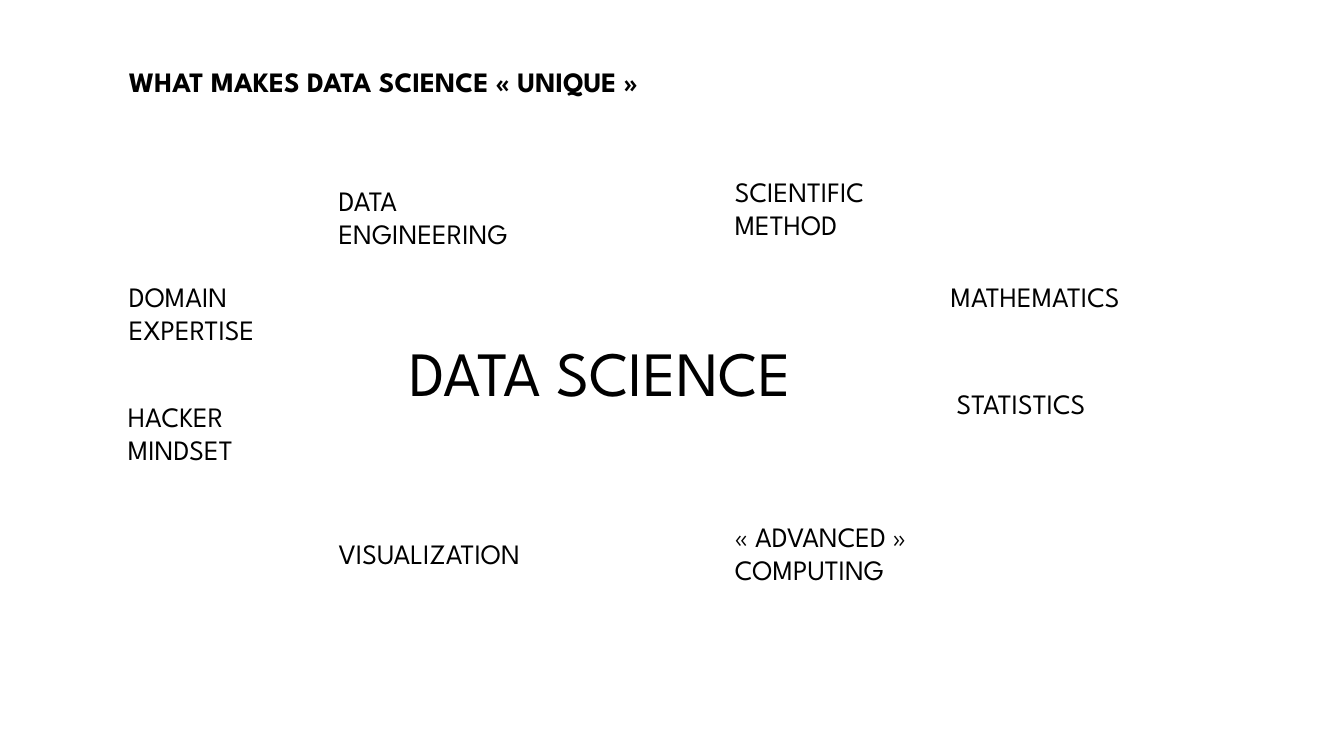
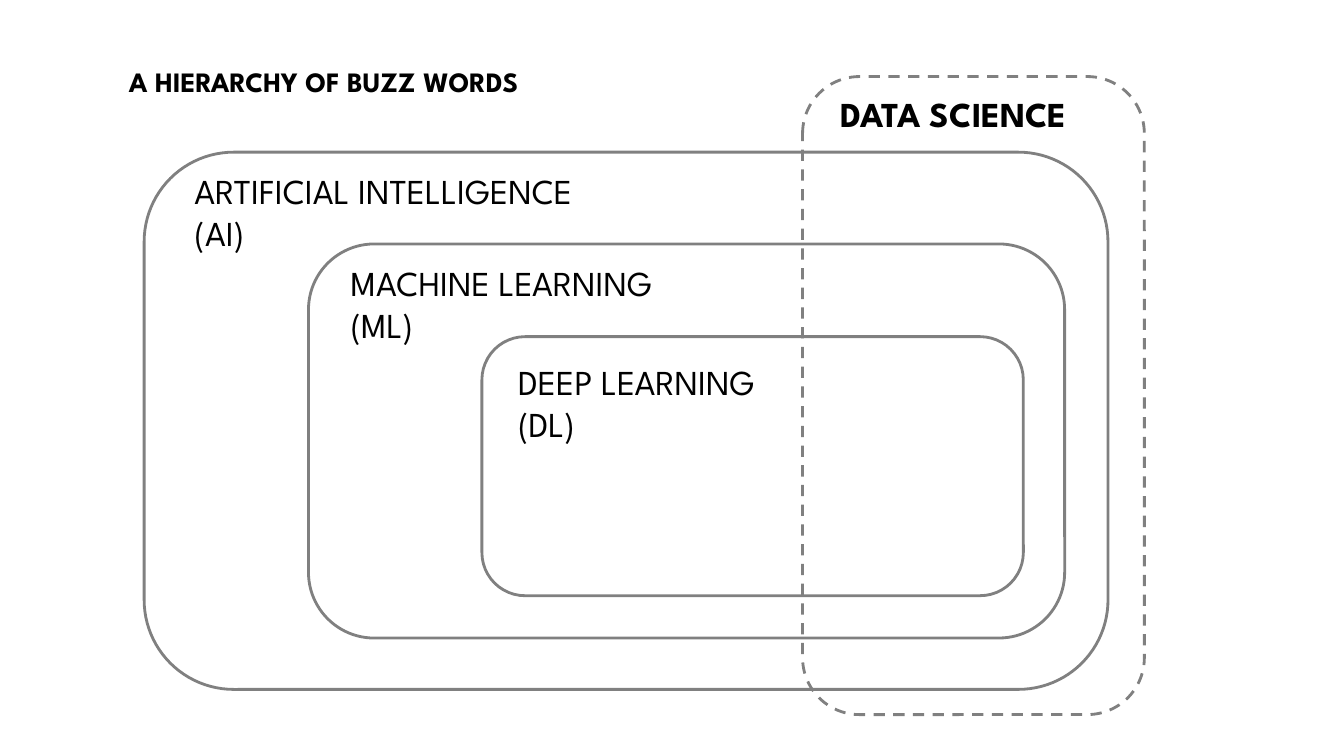
from dataclasses import dataclass

from pptx import Presentation
from pptx.dml.color import RGBColor
from pptx.enum.dml import MSO_LINE
from pptx.enum.shapes import MSO_SHAPE
from pptx.enum.text import MSO_ANCHOR, PP_ALIGN
from pptx.util import Emu, Pt

RECTANGLE = MSO_SHAPE.RECTANGLE
ROUNDED = MSO_SHAPE.ROUNDED_RECTANGLE
DASHED = MSO_LINE.DASH
TOP = MSO_ANCHOR.TOP
LEFT = PP_ALIGN.LEFT
PX = 9144


@dataclass(frozen=True)
class Theme:
    font: str = "League Spartan"
    ink: RGBColor = RGBColor(0, 0, 0)
    paper: RGBColor = RGBColor(255, 255, 255)
    outline: RGBColor = RGBColor(128, 128, 128)
    outline_width: int = 2
    body: int = 20
    ring: int = 25
    hero: int = 45
    inset_x: int = 10
    inset_y: int = 5
    line_height: float = 1.68


THEME = Theme()
SLIDE_SIZE = (1333, 750)
TITLE_BOX = (118, 59, 638)
SKILLS_BOX = (117, 168)
RINGS_BOX = (143, 76)

SKILLS = [
    ("DATA SCIENCE", 279, 158, 471, THEME.hero),
    ("DATA\nENGINEERING", 209, 9, 220, THEME.body),
    ("SCIENTIFIC\nMETHOD", 602, 0, 176, THEME.body),
    ("MATHEMATICS", 816, 104, 221, THEME.body),
    ("STATISTICS", 822, 211, 165, THEME.body),
    ("« ADVANCED »\nCOMPUTING", 602, 342, 236, THEME.body),
    ("VISUALIZATION", 209, 359, 233, THEME.body),
    ("HACKER\nMINDSET", 0, 223, 145, THEME.body),
    ("DOMAIN\nEXPERTISE", 1, 104, 155, THEME.body),
]

RINGS = [
    ("ARTIFICIAL INTELLIGENCE\v(AI)", (0, 75, 956, 533), (40, 12, 462), False),
    ("MACHINE LEARNING\v(ML)", (163, 166, 750, 391), (32, 13, 393), False),
    ("DEEP LEARNING\v(DL)", (335, 258, 537, 257), (26, 19, 297), False),
    ("DATA SCIENCE", (653, 0, 339, 633), (28, 11, 287), True),
]


def px(*lengths):
    return [Emu(length * PX) for length in lengths]


def label_height(text, size):
    lines = len(text.splitlines())
    return round(2 * THEME.inset_y + lines * size * THEME.line_height)


def write(frame, text, size, bold=False):
    frame.word_wrap = True
    frame.vertical_anchor = TOP
    frame.margin_left, frame.margin_right = px(THEME.inset_x, THEME.inset_x)
    frame.margin_top, frame.margin_bottom = px(THEME.inset_y, THEME.inset_y)
    frame.text = text
    for paragraph in frame.paragraphs:
        paragraph.alignment = LEFT
        for run in paragraph.runs:
            run.font.name = THEME.font
            run.font.size = Pt(size)
            run.font.bold = bold
            run.font.color.rgb = THEME.ink


def fill_paper(fill):
    fill.solid()
    fill.fore_color.rgb = THEME.paper


def add_label(slide, text, left, top, width, size, bold=False):
    box = px(left, top, width, label_height(text, size))
    write(slide.shapes.add_textbox(*box).text_frame, text, size, bold)


def add_skill(slide, text, left, top, width, size):
    box = px(left, top, width, label_height(text, size))
    skill = slide.shapes.add_shape(RECTANGLE, *box)
    skill.shadow.inherit = False
    skill.line.fill.background()
    fill_paper(skill.fill)
    write(skill.text_frame, text, size)


def add_ring(slide, left, top, width, height, dashed):
    ring = slide.shapes.add_shape(ROUNDED, *px(left, top, width, height))
    ring.shadow.inherit = False
    ring.line.color.rgb = THEME.outline
    ring.line.width = Pt(THEME.outline_width)
    if dashed:
        ring.fill.background()
        ring.line.dash_style = DASHED
    else:
        fill_paper(ring.fill)


def add_titled_slide(deck, title):
    slide = deck.slides.add_slide(deck.slide_layouts[6])
    fill_paper(slide.background.fill)
    add_label(slide, title, *TITLE_BOX, THEME.body, bold=True)
    return slide


def place_skills(slide, box):
    left, top = box
    for skill, x, y, width, size in SKILLS:
        add_skill(slide, skill, left + x, top + y, width, size)


def place_rings(slide, box):
    left, top = box
    for field, (x, y, width, height), (dx, dy, label_width), overlay in RINGS:
        add_ring(slide, left + x, top + y, width, height, overlay)
        add_label(slide, field, left + x + dx, top + y + dy, label_width,
                  THEME.ring, bold=overlay)


def main():
    deck = Presentation()
    deck.slide_width, deck.slide_height = px(*SLIDE_SIZE)
    place_skills(add_titled_slide(deck, "WHAT MAKES DATA SCIENCE « UNIQUE »"), SKILLS_BOX)
    place_rings(add_titled_slide(deck, "A HIERARCHY OF BUZZ WORDS"), RINGS_BOX)
    deck.save("out.pptx")


if __name__ == "__main__":
    main()
